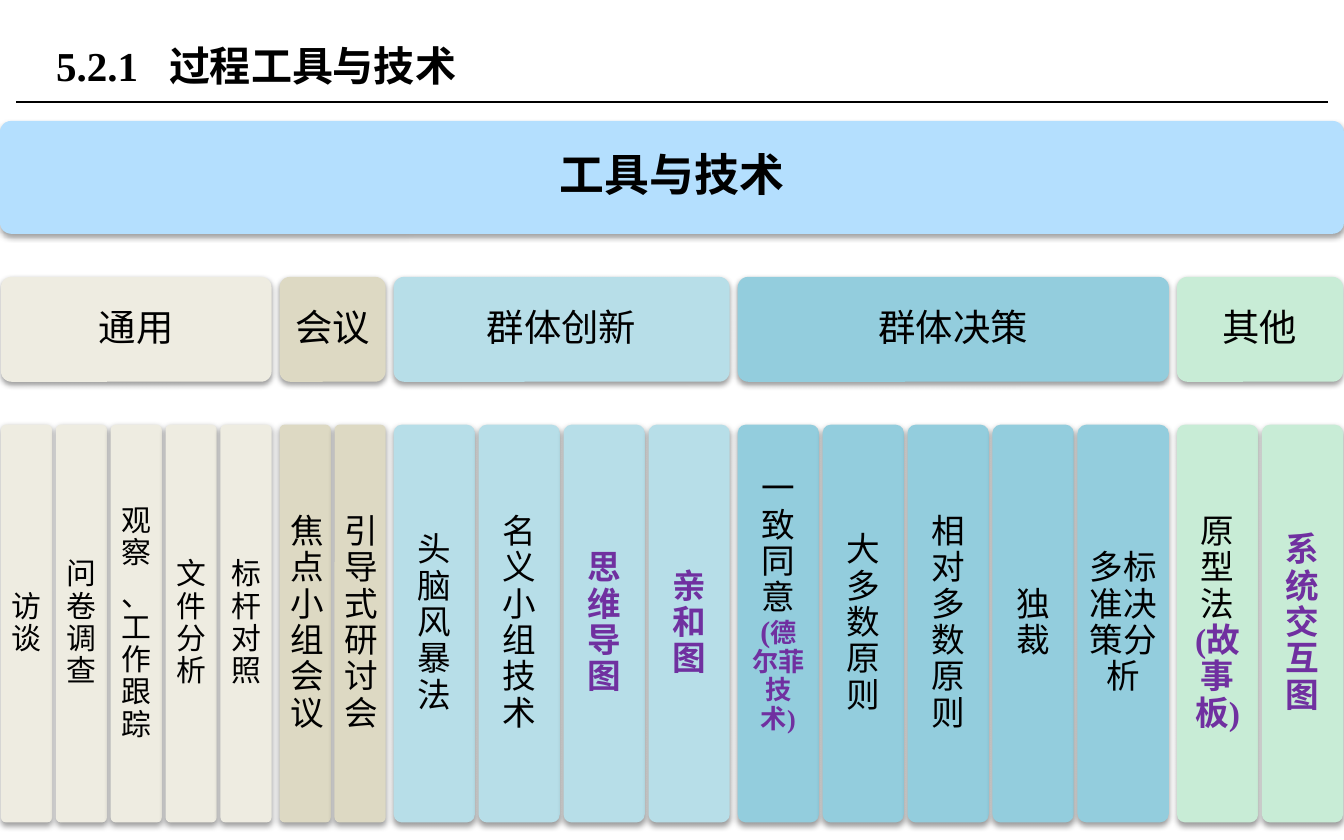
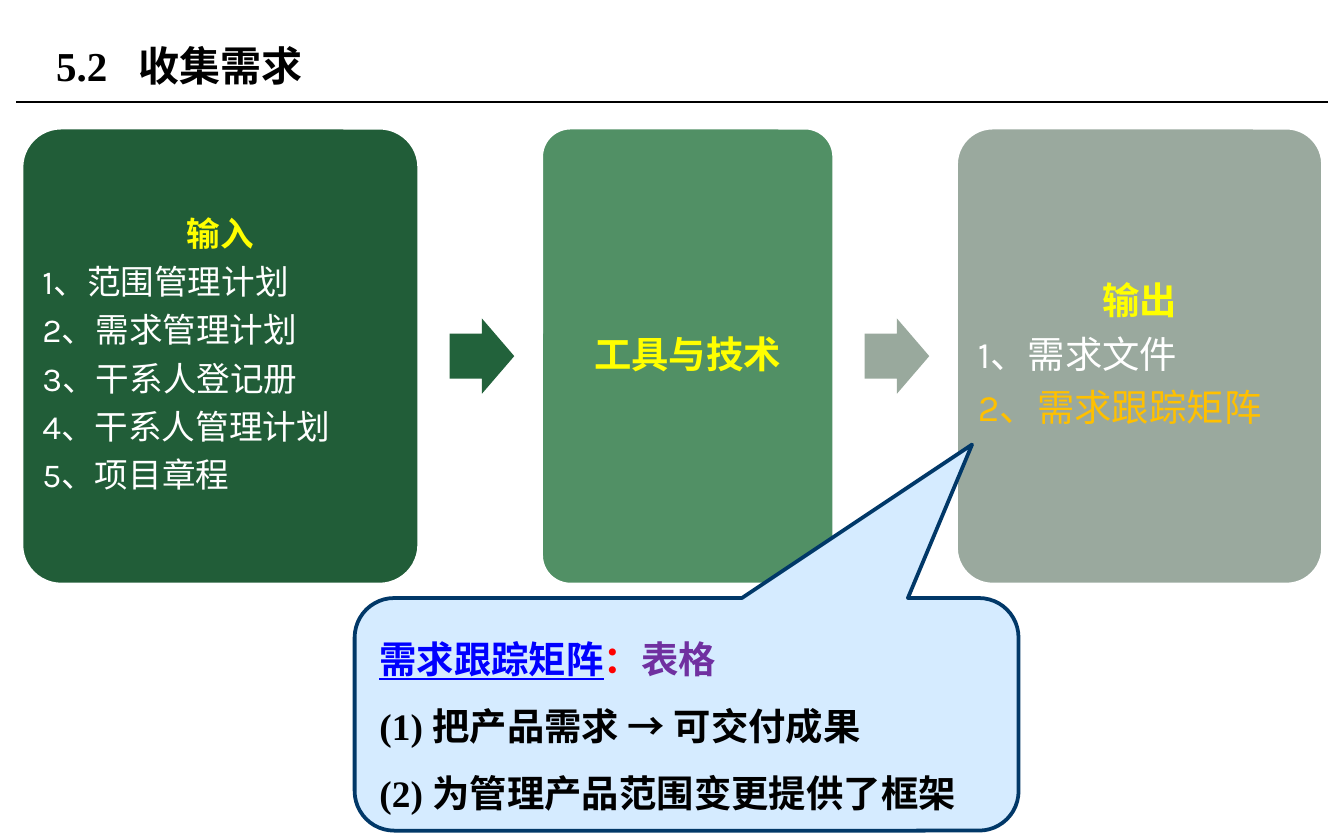
from dataclasses import dataclass

from lxml.etree import SubElement
from pptx import Presentation
from pptx.dml.color import RGBColor
from pptx.enum.shapes import MSO_CONNECTOR, MSO_SHAPE as Shape
from pptx.enum.text import MSO_ANCHOR as Anchor, PP_ALIGN as Align
from pptx.oxml.ns import qn
from pptx.util import Pt


@dataclass(frozen=True)
class Theme:
    sans: str = "Karla"
    serif: str = "Times New Roman"
    cjk: str = "Noto Sans CJK SC"
    black: str = "000000"
    white: str = "FFFFFF"
    purple: str = "7030A0"
    yellow: str = "FFFF00"
    amber: str = "FFC000"
    blue: str = "0000FF"
    red: str = "FF0000"
    banner: str = "B4DFFE"
    cream: str = "EEECE1"
    sand: str = "DDD9C3"
    sky: str = "B7DEE8"
    teal: str = "93CDDD"
    mint: str = "C8ECD6"
    dark_green: str = "215D38"
    dark_arrow: str = "22623B"
    green: str = "519065"
    gray_green: str = "9AA99E"
    gray_arrow: str = "99A99D"
    callout: str = "D5EBFF"
    navy: str = "013868"
    banner_size: float = 24
    title_size: float = 22
    head_size: float = 20
    body_size: float = 18
    small_size: float = 16
    tiny_size: float = 14


T = Theme()


@dataclass(frozen=True)
class Run:
    text: str
    size: float = T.body_size
    color: str = T.black
    bold: bool = False
    font: str = T.serif
    underline: bool = False


def small(text, font=T.serif):
    return Run(text, T.small_size, font=font)


def key(text, size=T.body_size):
    """A run for a term to remember."""
    return Run(text, size, T.purple, True)


def add_run(p, run):
    r = p.add_run()
    r.text = run.text
    font = r.font
    font.size, font.bold, font.name = Pt(run.size), run.bold, run.font
    font.color.rgb = RGBColor.from_string(run.color)
    if run.underline:
        font.underline = True
    SubElement(r._r.get_or_add_rPr(), qn("a:ea"), typeface=T.cjk)


def write(tf, paragraphs, aligns, line_spacing=0.9, space_after=35):
    """Fill a text frame; aligns holds one alignment per paragraph."""
    tf.word_wrap = True
    tf.vertical_anchor = Anchor.MIDDLE
    for i, (runs, align) in enumerate(zip(paragraphs, aligns)):
        p = tf.paragraphs[0] if i == 0 else tf.add_paragraph()
        p.alignment = align
        p.line_spacing = line_spacing
        if space_after:
            after = SubElement(p._p.get_or_add_pPr(), qn("a:spcAft"))
            SubElement(after, qn("a:spcPct"), val=str(space_after * 1000))
        for run in runs:
            add_run(p, run)


def set_insets(tf, inset, bottom=None):
    tf.margin_left = tf.margin_right = tf.margin_top = Pt(inset)
    tf.margin_bottom = Pt(inset if bottom is None else bottom)


def add_soft_shadow(sp):
    effects = SubElement(sp._element.spPr, qn("a:effectLst"))
    shadow = SubElement(effects, qn("a:outerShdw"), blurRad=str(Pt(3.1)),
                        dist=str(Pt(1.6)), dir="5400000", rotWithShape="0")
    color = SubElement(shadow, qn("a:srgbClr"), val=T.black)
    SubElement(color, qn("a:alpha"), val="38000")


def add_block(s, kind, box, fill, adjustments, line=None, shadow=False):
    sp = s.shapes.add_shape(kind, *map(Pt, box))
    for i, value in enumerate(adjustments):
        sp.adjustments[i] = value
    sp.fill.solid()
    sp.fill.fore_color.rgb = RGBColor.from_string(fill)
    if line:
        sp.line.color.rgb = RGBColor.from_string(line)
        sp.line.width = Pt(2)
    else:
        sp.line.fill.background()
    if shadow:
        add_soft_shadow(sp)
    else:
        sp.shadow.inherit = False
    return sp


def add_tile(s, box, fill, paragraphs, inset, bottom=None):
    sp = add_block(s, Shape.ROUNDED_RECTANGLE, box, fill, [0.1], shadow=True)
    set_insets(sp.text_frame, inset, bottom)
    write(sp.text_frame, paragraphs, [Align.CENTER] * len(paragraphs))


def add_panel(s, box, fill, heading, items, inset):
    sp = add_block(s, Shape.ROUNDED_RECTANGLE, box, fill, [0.1], line=T.white)
    set_insets(sp.text_frame, inset)
    write(sp.text_frame, [[heading]] + [[item] for item in items],
          [Align.CENTER] + [Align.LEFT] * len(items))


def add_titled_slide(prs, number, title, tab):
    """New slide with the numbered title and the rule below it."""
    s = prs.slides.add_slide(prs.slide_layouts[6])
    rule = s.shapes.add_connector(MSO_CONNECTOR.STRAIGHT, Pt(8.6), Pt(54.7),
                                  Pt(711.4), Pt(54.7))
    rule.line.color.rgb = RGBColor.from_string(T.black)
    rule.line.width = Pt(0.75)
    SubElement(rule._element.spPr, qn("a:effectLst"))

    tf = s.shapes.add_textbox(Pt(23), Pt(9.4), Pt(459.4), Pt(51)).text_frame
    tf.word_wrap = True
    tf.vertical_anchor = Anchor.MIDDLE
    p = tf.paragraphs[0]
    tabs = SubElement(p._p.get_or_add_pPr(), qn("a:tabLst"))
    SubElement(tabs, qn("a:tab"), pos=str(Pt(tab)), algn="l")
    add_run(p, Run(f"{number}\t{title}", T.title_size, bold=True))
    return s


# Each group: heading, heading font, fill, column widths, column paragraphs
NARROW, WIDE, WIDEST = 27.4, 43.5, 49
GROUPS = [
    ("通用", T.sans, T.cream, [NARROW] * 5, [
        [[small("访谈")]],
        [[small("问卷调查")]],
        [[small("观察")], [small("、工作跟踪")]],
        [[small("文件分析", T.sans)]],
        [[small("标杆对照")]]]),
    ("会议", T.sans, T.sand, [NARROW] * 2, [
        [[Run("焦点小组会议")]],
        [[Run("引导式研讨会")]]]),
    ("群体创新", T.serif, T.sky, [WIDE] * 4, [
        [[Run("头脑风暴法")]],
        [[Run("名义小组技术")]],
        [[key("思维导图")]],
        [[key("亲和图")]]]),
    ("群体决策", T.serif, T.teal, [WIDE] * 4 + [WIDEST], [
        [[Run("一致同意"), key("(", T.small_size),
          key("德尔菲技术)", T.tiny_size)]],
        [[Run("大多数原则")]],
        [[Run("相对多数原则")]],
        [[Run("独裁")]],
        [[Run("多标准决策分析", font=T.sans)]]]),
    ("其他", T.sans, T.mint, [WIDE] * 2, [
        [[Run("原型法"), key("(故事板)")]],
        [[key("系统交互图")]]]),
]


def build_tools_slide(prs):
    s = add_titled_slide(prs, "5.2.1", "过程工具与技术", 60.5)
    add_tile(s, (0, 64.8, 720, 60.5), T.banner,
             [[Run("工具与技术", T.banner_size, bold=True, font=T.sans)]], 7.2)
    column_gap, group_gap, inset = 2, 4.3, 4.8
    x = 0.5
    for heading, font, fill, widths, columns in GROUPS:
        group_width = sum(widths) + column_gap * (len(widths) - 1)
        add_tile(s, (x, 148.3, group_width, 56.2), fill,
                 [[Run(heading, T.head_size, font=font)]], 6)
        column_x = x
        for width, paragraphs in zip(widths, columns):
            # the column with a three-part label sits higher
            bottom = 27 if len(paragraphs[0]) == 3 else inset
            add_tile(s, (column_x, 227.5, width, 213.1), fill, paragraphs,
                     inset, bottom)
            column_x += width + column_gap
        x += group_width + group_gap


def build_requirements_slide(prs):
    s = add_titled_slide(prs, "5.2", "收集需求", 44)
    inputs = ["1、范围管理计划", "2、需求管理计划", "3、干系人登记册",
              "4、干系人管理计划", "5、项目章程"]
    outputs = [("1、需求文件", T.white), ("2、需求跟踪矩阵", T.amber)]
    # width, fill, arrow fill, heading, heading size, items, inset
    panels = [
        (213.1, T.dark_green, T.dark_arrow, "输入", T.body_size,
         [Run(t, T.body_size, T.white, font=T.sans) for t in inputs], 5),
        (157, T.green, T.gray_arrow, "工具与技术", T.head_size, [], 6),
        (196.6, T.gray_green, None, "输出", T.head_size,
         [Run(t, T.head_size, c, font=T.sans) for t, c in outputs], 6),
    ]
    x, top, height = 11.5, 68.4, 244.8
    arrow_w, arrow_h = 34.6, 40.3
    for width, fill, arrow, heading, size, items, inset in panels:
        add_panel(s, (x, top, width, height), fill,
                  Run(heading, size, T.yellow, True, T.sans), items, inset)
        x += width + 16.3
        if arrow:
            add_block(s, Shape.RIGHT_ARROW,
                      (x, top + (height - arrow_h) / 2, arrow_w, arrow_h),
                      arrow, [0.6, 0.5])
            x += arrow_w + 14.4

    sp = add_block(s, Shape.ROUNDED_RECTANGULAR_CALLOUT,
                   (190, 320.4, 355.7, 124.6), T.callout,
                   [0.43, -1.16, 0.17], line=T.navy)
    size = T.head_size
    lines = [
        [Run("需求跟踪矩阵", size, T.blue, True, T.sans, underline=True),
         Run("：", size, T.red, True, T.sans),
         Run("表格", size, T.purple, True, T.sans)],
        [Run("(1) 把产品需求 → 可交付成果", size, bold=True)],
        [Run("(2) 为管理产品范围变更提供了框架", size, bold=True)],
    ]
    write(sp.text_frame, lines, [Align.LEFT] * 3, 1.5, 0)


def main():
    prs = Presentation()
    prs.slide_width, prs.slide_height = Pt(720), Pt(450)
    build_tools_slide(prs)
    build_requirements_slide(prs)
    prs.save("out.pptx")


if __name__ == "__main__":
    main()
